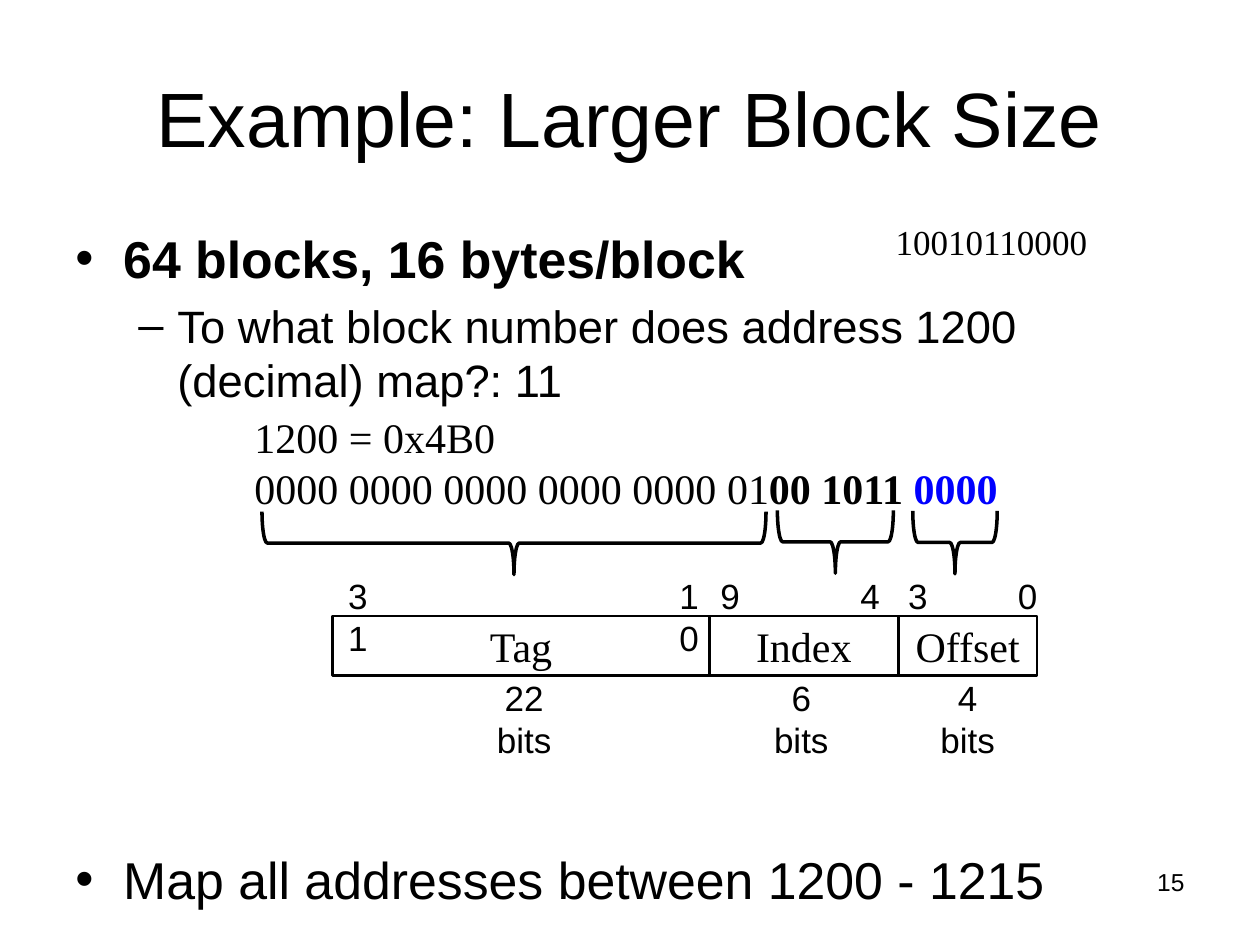
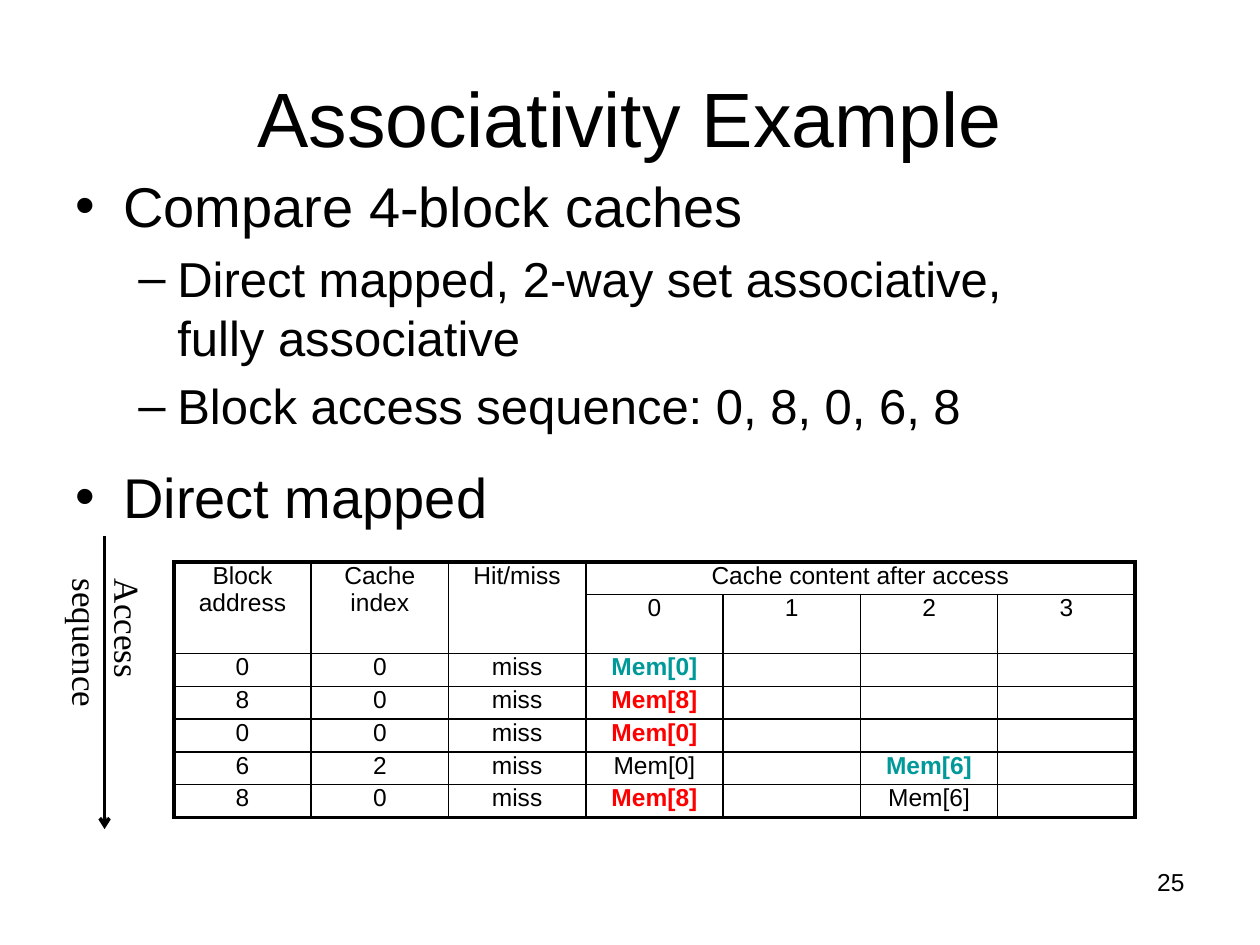
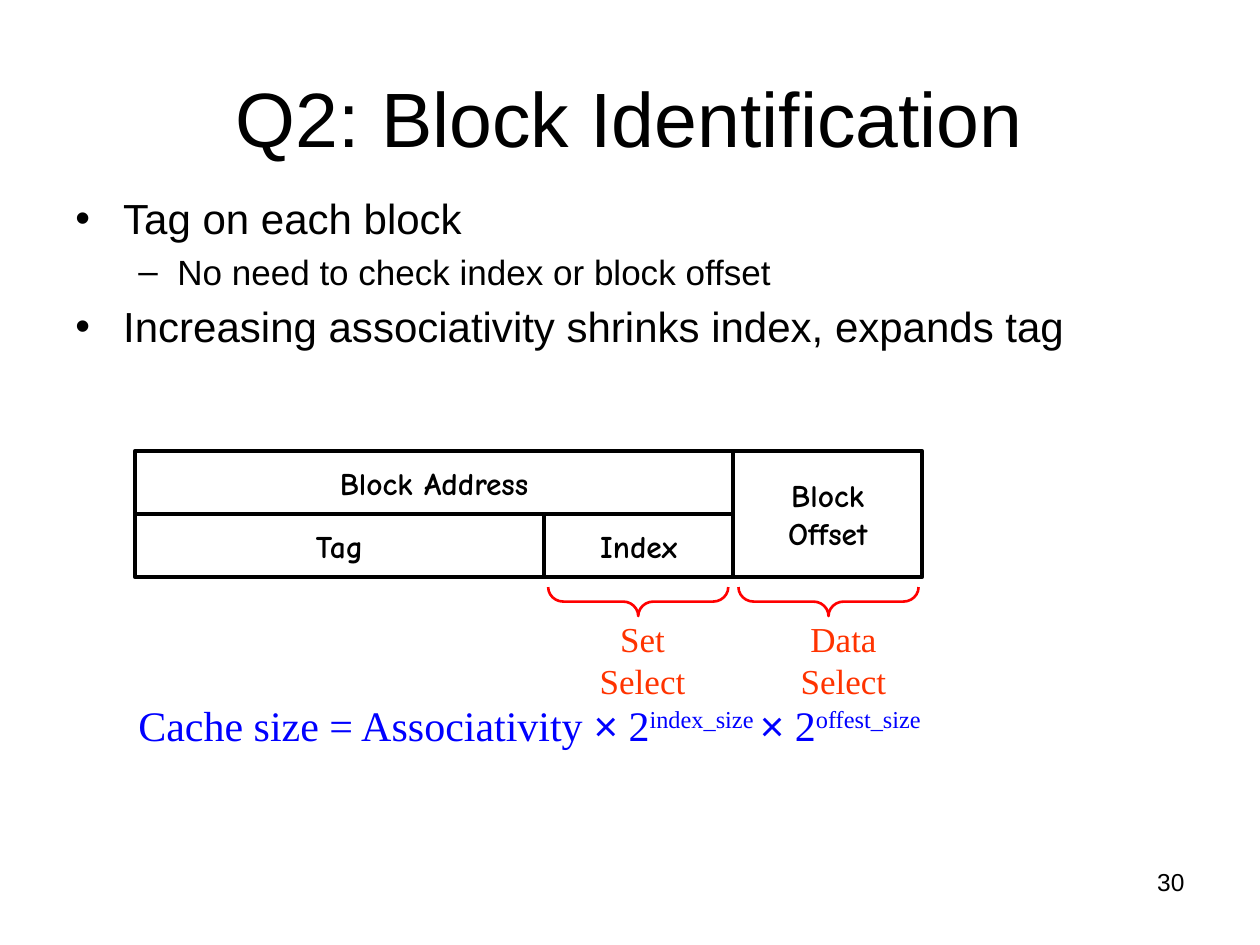
"""Builds three slides on cache blocks, associativity and block identification."""
from lxml import etree
from pptx import Presentation, util as u
from pptx.dml.color import RGBColor
from pptx.enum import shapes, text
from pptx.oxml.ns import qn

HUES = {"ink": "000000", "blue": "0000FF", "teal": "009999", "red": "FF0000", "rust": "FF3300"}
SANS, SERIF, COMIC = "Arial", "Times New Roman", "Comic Neue"
MID, LEFT, RIGHT = text.PP_ALIGN.CENTER, text.PP_ALIGN.LEFT, text.PP_ALIGN.RIGHT
MARKS = [("•", 0.38, -0.38), ("–", 0.81, -0.31)]

PAGES = [
    {"title": "Example: Larger Block Size", "page": "15", "top": 1.75, "body": [
        (0, "64 blocks, 16 bytes/block", {"size": 29.6, "bold": True}),
        (1, "To what block number does address 1200 (decimal) map?: 11", {"size": 25.9}),
        (0, "Map all addresses between 1200 - 1215", {"size": 29.6, "gap": 252})]},
    {"title": "Associativity Example", "page": "25", "top": 1.31, "body": [
        (0, "Compare 4-block caches", {"size": 32}),
        (1, "Direct mapped, 2-way set associative,\nfully associative", {"size": 28}),
        (1, "Block access sequence: 0, 8, 0, 6, 8", {"size": 28}),
        (0, "Direct mapped", {"size": 32, "part": 50})]},
    {"title": "Q2: Block Identification", "page": "30", "top": 1.48, "body": [
        (0, "Tag on each block", {"size": 24}),
        (1, "No need to check index or block offset", {"size": 20}),
        (0, "Increasing associativity shrinks index, expands tag", {"size": 24})]},
]

FIELDS = [("Tag", 2.99), ("Index", 1.5), ("Offset", 1.1)]
BITS = [("31", 2.6, 0.48), ("10", 5.23, 0.48), ("9", 5.62, 0.34),
        ("4", 6.73, 0.34), ("3", 7.11, 0.34), ("0", 7.98, 0.34)]
SIZES = [("22 bits", 3.69, 0.94), ("6 bits", 5.96, 0.8), ("4 bits", 7.28, 0.8)]
BINARY = ["1200 = 0x4B0", [("0000 0000 0000 0000 0000 01", {}), ("00 1011 ", {"bold": True}),
                           ("0000", {"bold": True, "hue": "blue"})]]
SPANS = [(3.83, 2.31, 0.5, 4), (6.38, 3.84, 0.5, 0.92), (7.33, 3.97, 0.5, 0.67)]

HEADS = [("Block address", 0, 0, 2, 1), ("Cache index", 0, 1, 2, 1), ("Hit/miss", 0, 2, 2, 1),
         ("Cache content after access", 0, 3, 1, 4)]
ROWS = [["0", "1", "2", "3"],
        ["0", "0", "miss", ("Mem[0]", "teal"), "", "", ""],
        ["8", "0", "miss", ("Mem[8]", "red"), "", "", ""],
        ["0", "0", "miss", ("Mem[0]", "red"), "", "", ""],
        ["6", "2", "miss", "Mem[0]", "", ("Mem[6]", "teal"), ""],
        ["8", "0", "miss", ("Mem[8]", "red"), "", "Mem[6]", ""]]

PARTS = [(["Block", "Offset"], 5.82, 3.58, 1.5, 1), (["Block Address"], 1.07, 3.58, 4.75, 0.5),
         (["Index"], 4.32, 4.08, 1.5, 0.5), (["Tag"], 1.07, 4.08, 3.25, 0.5)]
PICKS = [("Set Select", 4.45, 1.3, 4.95), ("Data Select", 5.96, 1.47, 6.46)]
CROSS = ("×", {"font": SANS})
RULE = [[("Cache size = Associativity ", {}), CROSS, (" 2", {}), ("index_size ", {"sup": True}),
         CROSS, (" 2", {}), ("offest_size", {"sup": True})]]


def hue(name):
    return RGBColor.from_string(HUES[name])


def add(root, tag, **attrs):
    node = etree.SubElement(root, qn(tag))
    for key, val in attrs.items():
        node.set(key, str(val))
    return node


def style(run, size=18, font=SANS, hue_name="ink", bold=False, sup=False):
    face = run.font
    face.size, face.name, face.bold = u.Pt(size), font, bold
    face.color.rgb = hue(hue_name)
    if sup:
        run._r.get_or_add_rPr().set("baseline", "30000")


def fill(para, runs, align=LEFT, **fmt):
    """Writes a string or a list of (text, format) runs into a paragraph."""
    para.alignment = align
    for words, more in [(runs, {})] if isinstance(runs, str) else runs:
        look = {**fmt, **more}
        look["hue_name"] = look.pop("hue", "ink")
        for num, line in enumerate(words.split("\n")):
            if num:
                para.add_line_break()
            run = para.add_run()
            run.text = line
            style(run, **look)


def write(frame, paras, **fmt):
    for num, runs in enumerate(paras):
        fill(frame.add_paragraph() if num else frame.paragraphs[0], runs, **fmt)


def put(slide, box, paras, grow=True, turn=0, anchor=text.MSO_ANCHOR.TOP, **fmt):
    shape = slide.shapes.add_textbox(*map(u.Inches, box))
    frame = shape.text_frame
    frame.word_wrap = True
    frame.vertical_anchor = anchor
    frame.auto_size = text.MSO_AUTO_SIZE.SHAPE_TO_FIT_TEXT if grow else text.MSO_AUTO_SIZE.NONE
    shape.rotation = turn
    write(frame, paras, **fmt)
    return frame


def draw(slide, kind, box, wide, tint="ink", turn=0, paras=(), **fmt):
    shape = slide.shapes.add_shape(kind, *map(u.Inches, box))
    shape.shadow.inherit = False
    shape.fill.background()
    shape.line.color.rgb = hue(tint)
    shape.line.width = u.Pt(wide)
    shape.rotation = turn
    shape.text_frame.word_wrap = False
    shape.text_frame.vertical_anchor = text.MSO_ANCHOR.MIDDLE
    write(shape.text_frame, paras, align=MID, **fmt)
    return shape


def space(para, part):
    add(add(para._p.get_or_add_pPr(), "a:spcBef"), "a:spcPct", val=part * 1000)


def start(deck, title, page, top, body):
    slide = deck.slides.add_slide(deck.slide_layouts[6])
    put(slide, (0.5, 0.3, 9, 1.25), [title], grow=False, anchor=text.MSO_ANCHOR.MIDDLE,
        size=44, align=MID)
    frame = put(slide, (0.5, top, 9, 4.95), [], grow=False)
    for num, (level, words, fmt) in enumerate(body):
        para = frame.add_paragraph() if num else frame.paragraphs[0]
        look = dict(fmt)
        gap, part = look.pop("gap", None), look.pop("part", 20)
        fill(para, words, **look)
        if gap:
            para.space_before = u.Pt(gap)
        else:
            space(para, part)
        mark, left, hang = MARKS[level]
        props = para._p.get_or_add_pPr()
        props.set("marL", str(u.Inches(left)))
        props.set("indent", str(u.Inches(hang)))
        add(props, "a:buFont", typeface=SANS)
        add(props, "a:buChar", char=mark)
    put(slide, (7.17, 6.83, 2.33, 0.52), [page], grow=False, size=14, align=RIGHT)
    return slide


def address(slide):
    left = 2.64
    for name, wide in FIELDS:
        draw(slide, shapes.MSO_SHAPE.RECTANGLE, (left, 4.89, wide, 0.47), 1.5,
             paras=[name], size=24, font=SERIF)
        left += wide
    for top, labels in ((4.51, BITS), (5.32, SIZES)):
        for name, x, wide in labels:
            put(slide, (x, top, wide, 0.4), [name], size=20, align=MID)
    put(slide, (1.92, 3.22, 7.25, 0.91), BINARY, size=24, font=SERIF)
    for box in SPANS:
        draw(slide, shapes.MSO_SHAPE.LEFT_BRACE, box, 2, turn=270)
    put(slide, (7.01, 1.7, 5, 0.4), ["10010110000"], size=20, font=SERIF)


def edge(cell, row, col, high, wide):
    props = cell._tc.get_or_add_tcPr()
    outer = {"L": col == 0, "R": col + wide == 7, "T": row == 0, "B": row + high == 7}
    for side, thick in outer.items():
        line = add(props, "a:ln" + side, w=u.Pt(2.25 if thick else 1))
        add(add(line, "a:solidFill"), "a:srgbClr", val=HUES["ink"])
    cell.fill.background()


def grid(slide):
    table = slide.shapes.add_table(7, 7, *map(u.Inches, (1.38, 4.46, 7.64, 1.81))).table
    table.first_row = table.horz_banding = False
    for row in table.rows:
        row.height = u.Inches(0.26)
    for col in table.columns:
        col.width = u.Inches(1.09)
    cells = list(HEADS)
    for r, row in enumerate(ROWS, 1):
        cells += [(item, r, c, 1, 1) for c, item in enumerate(row, 7 - len(row))]
    for item, r, c, high, wide in cells:
        cell = table.cell(r, c)
        if high * wide > 1:
            cell.merge(table.cell(r + high - 1, c + wide - 1))
        cell.margin_top = cell.margin_bottom = 0
        words, tint = (item, "ink") if isinstance(item, str) else item
        para = cell.text_frame.paragraphs[0]
        if words:
            fill(para, words, size=14, align=MID, hue=tint, bold=tint != "ink")
        else:
            para._p.get_or_add_endParaRPr().set("sz", "1400")
        space(para, 20)
        edge(cell, r, c, high, wide)


def order(slide):
    ends = map(u.Inches, (0.83, 4.25, 0.83, 6.58))
    arrow = slide.shapes.add_connector(shapes.MSO_CONNECTOR.STRAIGHT, *ends)
    arrow.line.color.rgb = hue("ink")
    arrow.line.width = u.Pt(2)
    add(arrow.line._get_or_add_ln(), "a:tailEnd", type="arrow")
    add(arrow._element.spPr, "a:effectLst")
    put(slide, (0.08, 5.25, 1.91, 0.4), ["Access sequence"], turn=90, size=20, font=SERIF)


def layout(slide):
    for names, *box in PARTS:
        draw(slide, shapes.MSO_SHAPE.RECTANGLE, box, 2.25, paras=names,
             size=18, font=COMIC, bold=True)
    frame = put(slide, (1, 5.5, 6.97, 0.51), RULE, size=24, font=SERIF, hue="blue")
    space(frame.paragraphs[0], 50)
    for name, x, wide, left in PICKS:
        frame = put(slide, (x, 4.85, wide, 0.43), [name], size=20, font=SERIF,
                    hue="rust", align=MID)
        frame.word_wrap = False
        brace = draw(slide, shapes.MSO_SHAPE.RIGHT_BRACE, (left, 4.06, 0.23, 1.43), 1.5,
                     tint="red", turn=90)
        brace.adjustments[0] = 0.524


def main():
    deck = Presentation()
    deck.slide_width, deck.slide_height = u.Inches(10), u.Inches(7.5)
    first, second, third = [start(deck, **page) for page in PAGES]
    address(first)
    grid(second)
    order(second)
    layout(third)
    deck.save("out.pptx")


if __name__ == "__main__":
    main()
